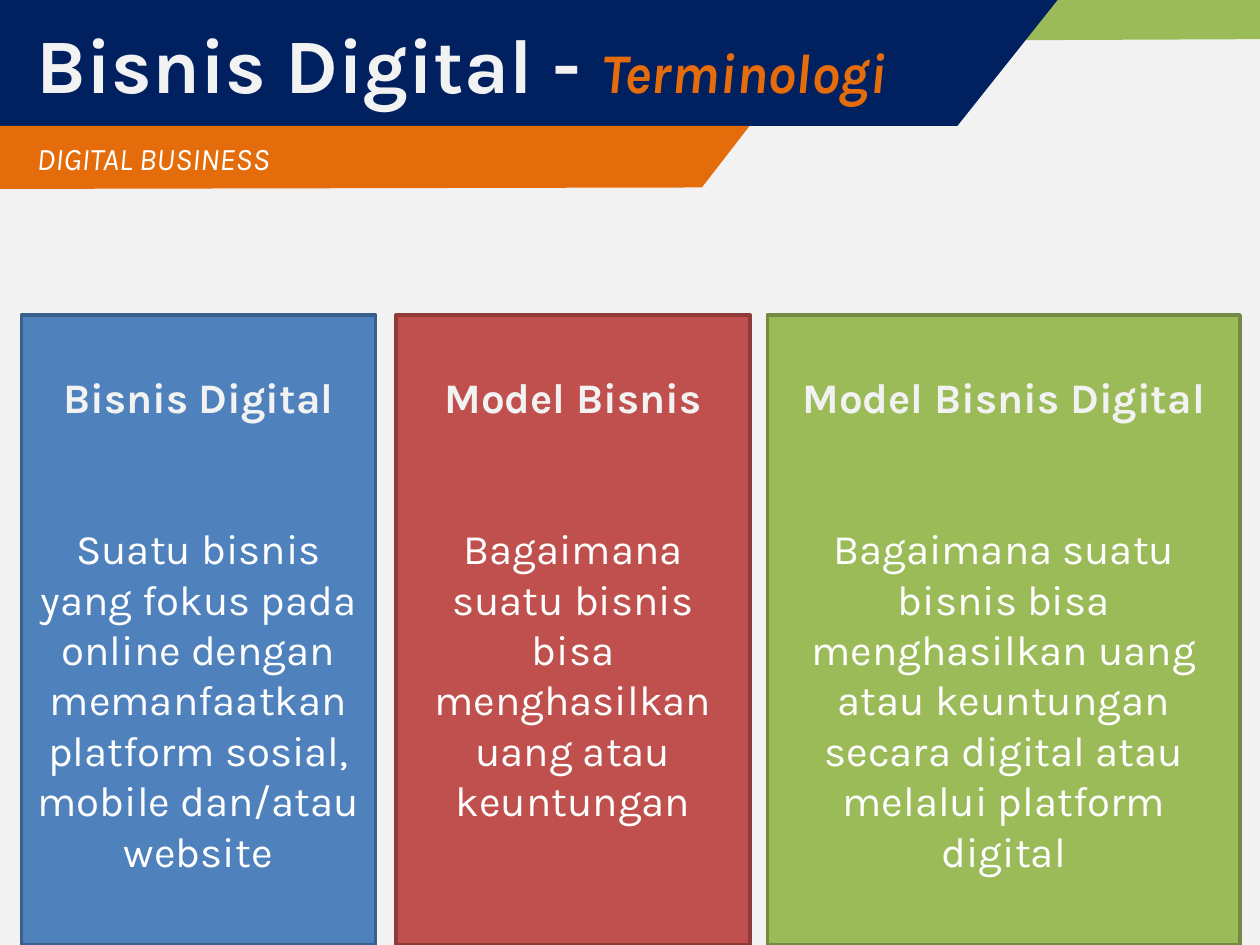
from pptx import Presentation, util as u
from pptx.dml.color import RGBColor
from pptx.enum import shapes, text

COLOURS = {
    "paper": "F2F2F2", "white": "FFFFFF", "navy": "002060", "orange": "E46C0A",
    "blue": "4F81BD", "blue edge": "3A5F8C",
    "red": "C0504D", "red edge": "8E3B39",
    "green": "9BBB59", "green edge": "738A42",
}


def colour(name):
    return RGBColor.from_string(COLOURS[name])


class SlideBuilder:
    font_name = "Karla"
    text_inset = u.Cm(0.74)

    def __init__(self, deck):
        self.page = deck.slides.add_slide(deck.slide_layouts[6])
        fill = self.page.background.fill
        fill.solid()
        fill.fore_color.rgb = colour("paper")

    def style_font(self, font, size, name, bold=False, italic=False):
        font.name, font.size = self.font_name, u.Pt(size)
        font.bold, font.italic = bold, italic
        font.color.rgb = colour(name)

    def paint(self, shape, fill):
        shape.shadow.inherit = False
        shape.fill.solid()
        shape.fill.fore_color.rgb = colour(fill)

    def banner(self, fill, points):
        corners = [(u.Cm(x), u.Cm(y)) for x, y in points]
        builder = self.page.shapes.build_freeform(*corners[0])
        builder.add_line_segments(corners[1:], close=True)
        shape = builder.convert_to_shape()
        self.paint(shape, fill)
        shape.line.fill.background()
        return shape

    def heading(self, shape, spans):
        """Write one left-aligned line of (words, size, colour, bold, italic)."""
        frame = shape.text_frame
        frame.word_wrap = True
        frame.vertical_anchor = text.MSO_ANCHOR.MIDDLE
        frame.margin_left = self.text_inset
        para = frame.paragraphs[0]
        para.alignment = text.PP_ALIGN.LEFT
        for words, *style in spans:
            span = para.add_run()
            span.text = words
            self.style_font(span.font, *style)

    def title(self, spans):
        box = self.page.shapes.add_textbox(0, 0, u.Cm(25.4), u.Cm(2.54))
        self.heading(box, spans)

    def card(self, left, width, fill, term, meaning):
        card = self.page.shapes.add_shape(
            shapes.MSO_SHAPE.RECTANGLE,
            u.Cm(left), u.Cm(6.35), u.Cm(width), u.Cm(12.7))
        self.paint(card, fill)
        card.line.color.rgb = colour(fill + " edge")
        card.line.width = u.Pt(2)
        frame = card.text_frame
        frame.word_wrap = True
        frame.vertical_anchor = text.MSO_ANCHOR.TOP
        frame.margin_top = u.Cm(1.14)
        name_para, meaning_para = frame.paragraphs[0], frame.add_paragraph()
        name_para.text, meaning_para.text = term, meaning
        self.style_font(name_para.font, 24, "paper", bold=True)
        self.style_font(meaning_para.font, 24, "white")
        meaning_para.space_before = u.Pt(57.6)
        for para in frame.paragraphs:
            para.alignment = text.PP_ALIGN.CENTER


def main():
    deck = Presentation()
    deck.slide_width, deck.slide_height = u.Cm(25.4), u.Cm(19.05)
    slide = SlideBuilder(deck)

    # Header banners
    slide.banner("green", [(14.45, 0), (25.4, 0), (25.4, 0.79), (14.17, 0.84)])
    slide.banner("navy", [(0, 0), (21.36, -0.05), (19.3, 2.54), (0, 2.54)])
    subtitle = slide.banner(
        "orange", [(0, 2.54), (15.11, 2.54), (14.15, 3.78), (0, 3.81)])
    slide.heading(subtitle, [("DIGITAL BUSINESS", 18, "white", False, True)])
    slide.title([("Bisnis Digital - ", 44, "paper", True, False),
                 ("Terminologi", 32, "orange", True, True)])

    # Term cards
    slide.card(0.43, 7.14, "blue", "Bisnis Digital",
               "Suatu bisnis yang fokus pada online dengan memanfaatkan "
               "platform sosial, mobile dan/atau website")
    slide.card(7.98, 7.14, "red", "Model Bisnis",
               "Bagaimana suatu bisnis bisa menghasilkan uang atau keuntungan")
    slide.card(15.47, 9.53, "green", "Model Bisnis Digital",
               "Bagaimana suatu bisnis bisa menghasilkan uang atau keuntungan "
               "secara digital atau melalui platform digital")

    deck.save("out.pptx")


if __name__ == "__main__":
    main()
